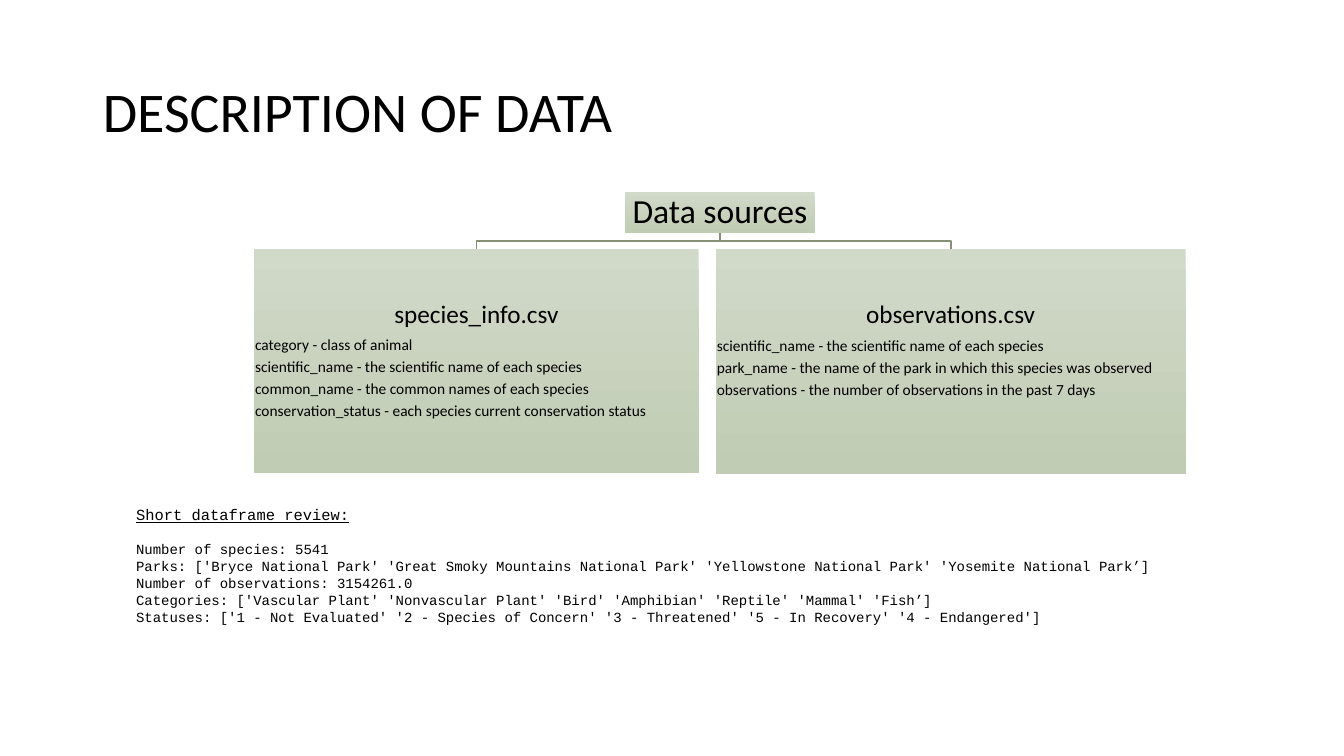
from dataclasses import dataclass

from lxml import etree
from pptx import Presentation
from pptx.dml.color import RGBColor
from pptx.enum import shapes, text
from pptx.oxml import ns
from pptx.util import Inches, Pt

BLACK = "000000"
GRADIENT = ("D1D9C9", "C0CCB3")
BRANCH_COLOR = "849175"
BODY_SIZE = 11
SPACE_RATIO = 0.35


@dataclass(frozen=True)
class Area:
    left: float
    top: float
    width: float
    height: float

    @property
    def center(self) -> float:
        return self.left + self.width / 2


@dataclass(frozen=True)
class Node:
    area: Area
    heading: str
    size: int
    inset: float
    bottom_inset: float
    columns: tuple = ()


ROOT = Node(Area(6.2, 1.91, 1.88, 0.4), "Data sources", 24, 0.02, 0.02)
FILES = (
    Node(Area(2.52, 2.47, 4.41, 2.22), "species_info.csv", 18, 0.01, 0.01, (
        "category - class of animal",
        "scientific_name - the scientific name of each species",
        "common_name - the common names of each species",
        "conservation_status - each species current conservation status",
    )),
    Node(Area(7.1, 2.47, 4.66, 2.23), "observations.csv", 18, 0.01, 0.23, (
        "scientific_name - the scientific name of each species",
        "park_name - the name of the park in which this species was observed",
        "observations - the number of observations in the past 7 days",
    )),
)
REVIEW_AREA = Area(1.35, 5, 10.41, 1.21)
REVIEW_HEADING = "Short dataframe review:"
REVIEW_LINES = (
    "Number of species: 5541",
    "Parks: ['Bryce National Park' 'Great Smoky Mountains National Park' "
    "'Yellowstone National Park' 'Yosemite National Park’]",
    "Number of observations: 3154261.0",
    "Categories: ['Vascular Plant' 'Nonvascular Plant' 'Bird' 'Amphibian' "
    "'Reptile' 'Mammal' 'Fish’]",
    "Statuses: ['1 - Not Evaluated' '2 - Species of Concern' "
    "'3 - Threatened' '5 - In Recovery' '4 - Endangered']",
)


def color(value: str) -> RGBColor:
    return RGBColor.from_string(value)


def apply(target, **formats) -> None:
    """Set every given format value as an attribute."""
    for name, value in formats.items():
        setattr(target, name, value)


def place(shape, area: Area) -> None:
    apply(shape, left=Inches(area.left), top=Inches(area.top),
          width=Inches(area.width), height=Inches(area.height))


def set_frame(frame, inset: float, bottom_inset: float) -> None:
    apply(frame, word_wrap=True, vertical_anchor=text.MSO_ANCHOR.MIDDLE,
          margin_left=Inches(inset), margin_right=Inches(inset),
          margin_top=Inches(inset), margin_bottom=Inches(bottom_inset))


def write(para, words: str, size: int, font: str = "Calibri",
          underline: bool = False, **formats) -> None:
    apply(para, **{"alignment": text.PP_ALIGN.LEFT, **formats})
    span = para.add_run()
    span.text = words
    apply(span.font, name=font, size=Pt(size), underline=underline)
    span.font.color.rgb = color(BLACK)


def add_title(page) -> None:
    title = page.shapes.title
    place(title, Area(0.92, 0.4, 11.5, 1.45))
    set_frame(title.text_frame, 0.1, 0.05)
    title.text_frame.auto_size = text.MSO_AUTO_SIZE.NONE
    write(title.text_frame.paragraphs[0], "DESCRIPTION OF DATA", 40,
          line_spacing=Pt(40))


def add_branch(page, parent: Area, child: Area) -> None:
    bottom = parent.top + parent.height
    middle = (bottom + child.top) / 2
    builder = page.shapes.build_freeform(
        Inches(parent.center), Inches(bottom))
    corners = ((parent.center, middle), (child.center, middle),
               (child.center, child.top))
    builder.add_line_segments(
        [(Inches(x), Inches(y)) for x, y in corners], close=False)
    branch = builder.convert_to_shape()
    branch.shadow.inherit = False
    branch.fill.background()
    branch.line.color.rgb = color(BRANCH_COLOR)
    branch.line.width = Pt(1)


def add_node(page, node: Node) -> None:
    box = page.shapes.add_shape(shapes.MSO_SHAPE.RECTANGLE, 0, 0, 0, 0)
    place(box, node.area)
    box.shadow.inherit = False
    box.line.fill.background()
    box.fill.gradient()
    box.fill.gradient_angle = 270
    for stop, value in zip(box.fill.gradient_stops, GRADIENT):
        stop.color.rgb = color(value)

    frame = box.text_frame
    set_frame(frame, node.inset, node.bottom_inset)
    write(frame.paragraphs[0], node.heading, node.size, line_spacing=0.9,
          alignment=text.PP_ALIGN.CENTER,
          space_after=Pt(node.size * SPACE_RATIO))
    for column in node.columns:
        write(frame.add_paragraph(), column, BODY_SIZE, line_spacing=0.9,
              space_after=Pt(BODY_SIZE * SPACE_RATIO))


def add_review(page) -> None:
    box = page.shapes.add_textbox(0, 0, 0, 0)
    place(box, REVIEW_AREA)
    frame = box.text_frame
    set_frame(frame, 0, 0)
    frame.auto_size = text.MSO_AUTO_SIZE.SHAPE_TO_FIT_TEXT
    write(frame.paragraphs[0], REVIEW_HEADING, 11, "Courier New",
          underline=True, space_after=Pt(12.5))
    for line in REVIEW_LINES:
        write(frame.add_paragraph(), line, 10, "Courier New")


def main() -> None:
    deck = Presentation()
    apply(deck, slide_width=Inches(13.33), slide_height=Inches(7.5))
    page = deck.slides.add_slide(deck.slide_layouts.get_by_name("Title Only"))
    add_title(page)
    for node in reversed(FILES):
        add_branch(page, ROOT.area, node.area)
    for node in (ROOT, *FILES):
        add_node(page, node)
    add_review(page)
    deck.save("out.pptx")


if __name__ == "__main__":
    main()
